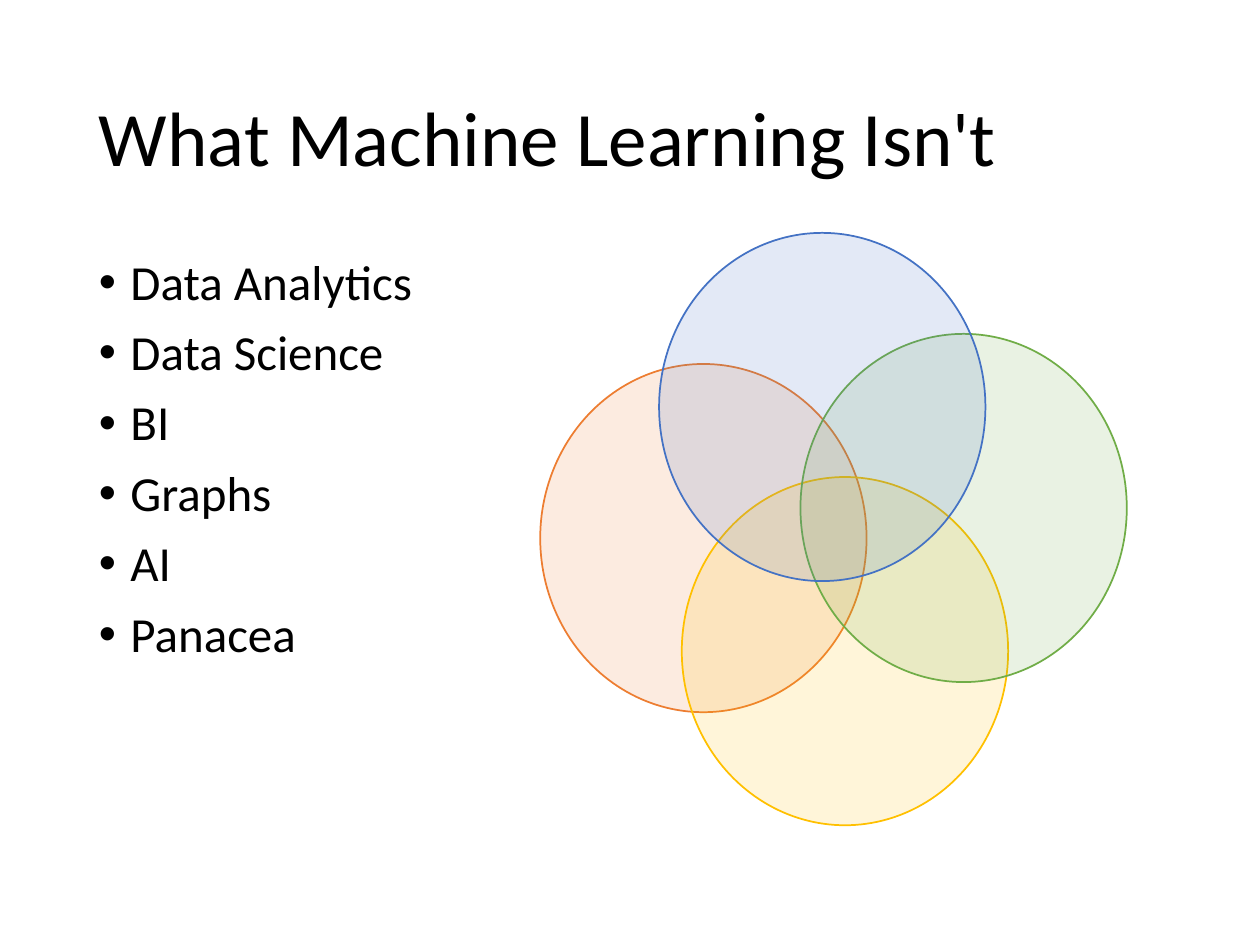
from lxml.etree import SubElement
from pptx import Presentation
from pptx.dml.color import RGBColor
from pptx.enum.shapes import MSO_SHAPE as Shape
from pptx.enum.text import MSO_ANCHOR as Anchor
from pptx.oxml.ns import qn
from pptx.util import Pt

COLORS = {
    "text": "000000",
    "orange": "ED7D31",
    "gold": "FFC000",
    "green": "70AD47",
    "blue": "4472C4",
}


class SlideBuilder:
    font = "Calibri"
    line_spacing = 0.9
    bullet_indent = 18
    bullet_gap = 10
    fill_opacity = 15

    def __init__(self, page):
        self.page = page

    def color(self, name):
        return RGBColor.from_string(COLORS[name])

    def text(self, left, top, width, height, lines, size,
             anchor=Anchor.TOP, bullets=False):
        box = self.page.shapes.add_textbox(Pt(left), Pt(top), Pt(width), Pt(height))
        frame = box.text_frame
        frame.word_wrap = True
        frame.vertical_anchor = anchor
        for index, line in enumerate(lines):
            para = frame.add_paragraph() if index else frame.paragraphs[0]
            if bullets:
                self.bullet(para)
            para.line_spacing = self.line_spacing
            para.space_before = Pt(self.bullet_gap if index else 0)
            span = para.add_run()
            span.text = line
            span.font.name = self.font
            span.font.size = Pt(size)
            span.font.color.rgb = self.color("text")

    def bullet(self, para):
        props = para._p.get_or_add_pPr()
        props.set("marL", str(Pt(self.bullet_indent)))
        props.set("indent", str(-Pt(self.bullet_indent)))
        SubElement(props, qn("a:buFont"), typeface="Arial")
        SubElement(props, qn("a:buChar"), char="•")

    def ellipse(self, left, top, width, height, color):
        oval = self.page.shapes.add_shape(
            Shape.OVAL, Pt(left), Pt(top), Pt(width), Pt(height))
        oval.shadow.inherit = False
        oval.fill.solid()
        oval.fill.fore_color.rgb = self.color(color)
        # Translucent fill
        tint = oval.fill._xPr.find(qn("a:solidFill"))[0]
        SubElement(tint, qn("a:alpha"), val=str(self.fill_opacity * 1000))
        oval.line.color.rgb = self.color(color)
        oval.line.width = Pt(1)


def main():
    deck = Presentation()
    deck.slide_width, deck.slide_height = Pt(720), Pt(540)
    builder = SlideBuilder(deck.slides.add_slide(deck.slide_layouts[6]))

    # Title
    builder.text(49.5, 28.75, 621, 104.4, ["What Machine Learning Isn't"], 44,
                 anchor=Anchor.MIDDLE)

    # Bullet list
    topics = ["Data Analytics", "Data Science", "BI", "Graphs", "AI", "Panacea"]
    builder.text(49.5, 143.75, 621, 342.6, topics, 28, bullets=True)

    # Overlapping circles, back to front
    circles = [
        (308.7, 208, "orange"),
        (389.6, 272.6, "gold"),
        (457.4, 190.8, "green"),
        (376.6, 133.1, "blue"),
    ]
    for left, top, color in circles:
        builder.ellipse(left, top, 186.5, 199, color)

    deck.save("out.pptx")


if __name__ == "__main__":
    main()
